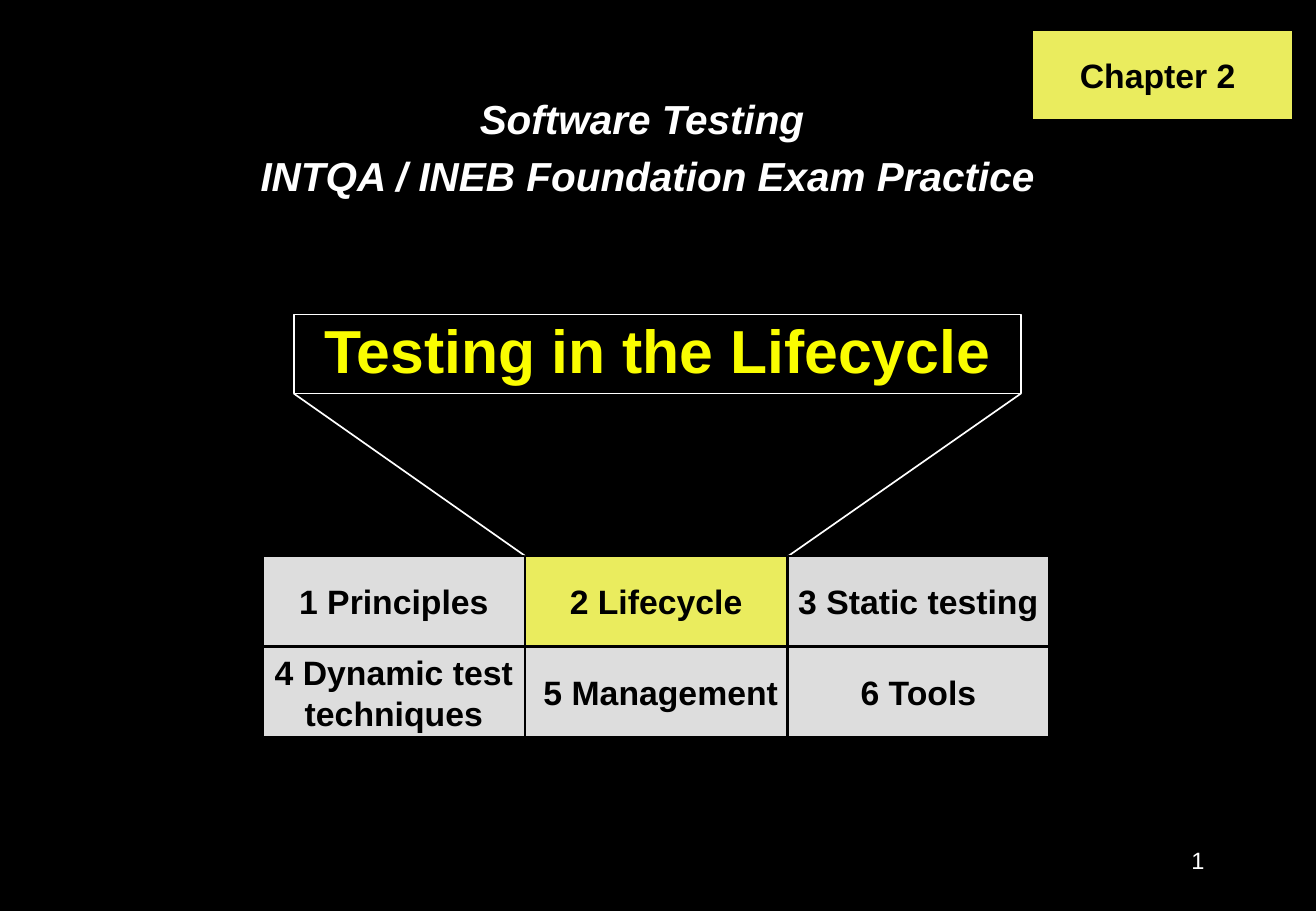
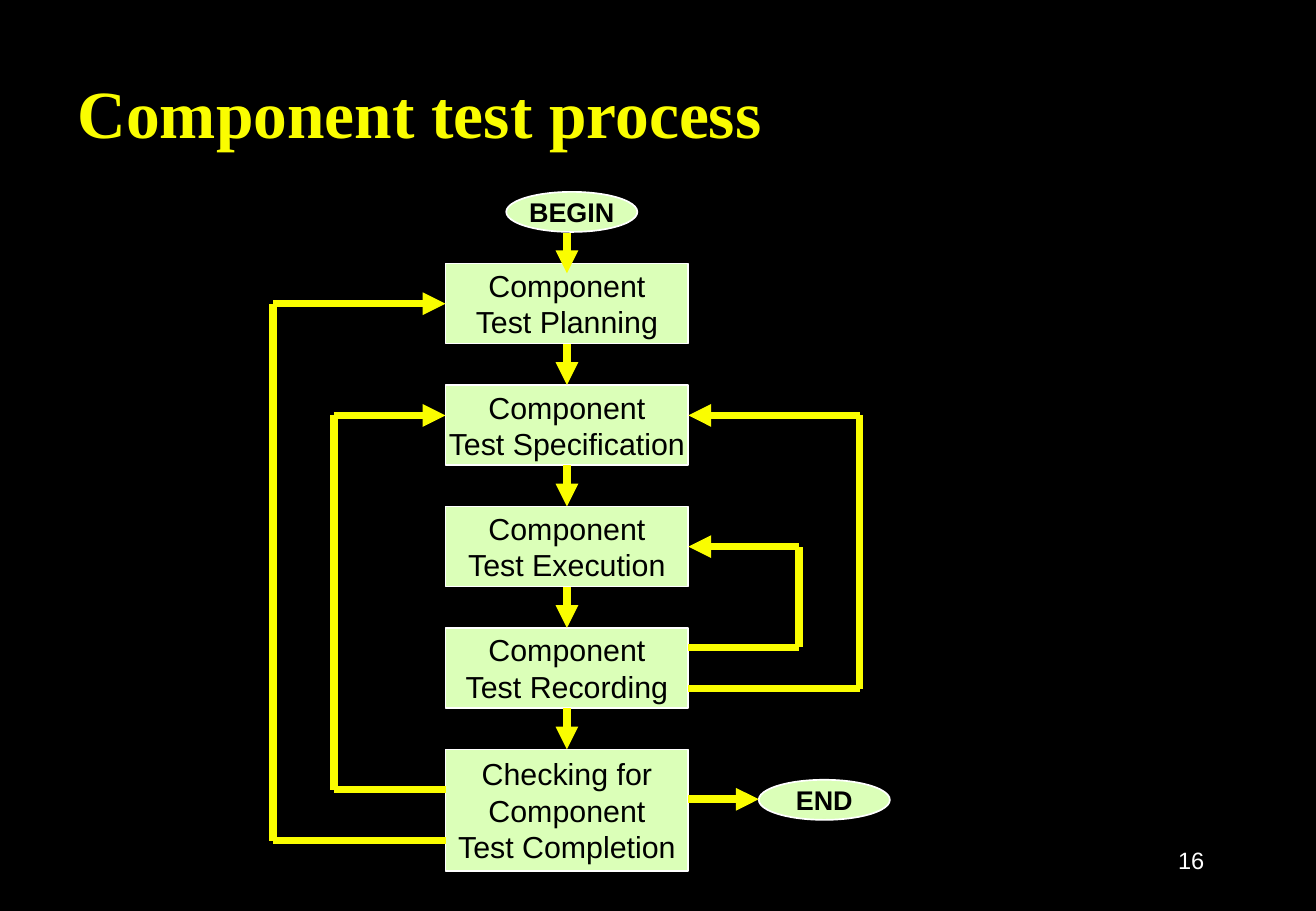
from itertools import pairwise

from lxml.etree import SubElement
from pptx import Presentation
from pptx.dml.color import RGBColor
from pptx.enum.shapes import MSO_CONNECTOR, MSO_SHAPE
from pptx.enum.text import MSO_ANCHOR, MSO_AUTO_SIZE, PP_ALIGN
from pptx.oxml.ns import qn
from pptx.util import Inches, Pt

COLORS = {
    "background": "000000",
    "white": "FFFFFF",
    "yellow": "FAFD00",
    "current": "EAEC5E",
    "topic": "DDDDDD",
    "static_topic": "DADADA",
    "step": "DBFFB8",
    "black": "000000",
}
SANS, SERIF = "Arial", "Times New Roman"
TOP, LEFT, BOTTOM, RIGHT = range(4)

TOPICS = [
    [("1 Principles", "topic"), ("2 Lifecycle", "current"), ("3 Static testing", "static_topic")],
    [("4 Dynamic test\ntechniques", "topic"), (" 5 Management", "topic"), ("6 Tools", "topic")],
]
TOPIC_LEFT, TOPIC_TOP = 2.17, 4.58
TOPIC_WIDTH, TOPIC_HEIGHT = 2.15, 0.74
TOPIC_PITCH_X, TOPIC_PITCH_Y = 2.16, 0.75

STEPS = ["Planning", "Specification", "Execution", "Recording"]
STEP_LEFT, STEP_TOP = 3.67, 2.17
STEP_WIDTH, STEP_HEIGHT, STEP_PITCH = 2, 0.66, 1
STEP_RIGHT = STEP_LEFT + STEP_WIDTH
STEP_CENTER = STEP_LEFT + STEP_WIDTH / 2


def rgb(color):
    """Return the RGB value of a named colour."""
    return RGBColor.from_string(COLORS[color])


def write(frame, text, size, color, font=SANS, bold=False, italic=False,
          align=PP_ALIGN.CENTER, spacing=None, anchor=MSO_ANCHOR.MIDDLE, wrap=False):
    """Fill a text frame with one formatted paragraph per line of text."""
    frame.auto_size = MSO_AUTO_SIZE.NONE
    frame.word_wrap = wrap
    frame.vertical_anchor = anchor
    for index, line in enumerate(text.split("\n")):
        paragraph = frame.add_paragraph() if index else frame.paragraphs[0]
        paragraph.alignment = align
        if spacing:
            paragraph.line_spacing = spacing
        run = paragraph.add_run()
        run.text = line
        run.font.name = font
        run.font.size = Pt(size)
        run.font.bold = bold
        run.font.italic = italic
        run.font.color.rgb = rgb(color)


def place(shape, left, top, width, height):
    """Set the position and size of a shape in inches."""
    shape.left, shape.top = Inches(left), Inches(top)
    shape.width, shape.height = Inches(width), Inches(height)


def outline(shape, color):
    """Give a shape a thin line."""
    shape.line.color.rgb = rgb(color)
    shape.line.width = Pt(1)


def add_title(slide, text, bounds, size, **style):
    """Write the bold yellow title in its placeholder."""
    title = slide.shapes.title
    place(title, *bounds)
    write(title.text_frame, text, size, "yellow", bold=True, wrap=True, **style)
    return title


def add_page_number(slide, number):
    """Write the page number at the lower right."""
    page = slide.shapes.add_textbox(Inches(7.76), Inches(6.83), Inches(2.26), Inches(0.5))
    write(page.text_frame, number, 14, "white", align=PP_ALIGN.RIGHT)


def add_box(slide, text, bounds, fill, line, size, bold=False, preset=MSO_SHAPE.RECTANGLE):
    """Add a filled shape with centred black text."""
    box = slide.shapes.add_shape(preset, *map(Inches, bounds))
    box.shadow.inherit = False
    box.fill.solid()
    box.fill.fore_color.rgb = rgb(fill)
    outline(box, line)
    write(box.text_frame, text, size, "black", bold=bold)
    return box


def add_topic(slide, text, left, top, fill):
    """Add a chapter box."""
    add_box(slide, text, (left, top, TOPIC_WIDTH, TOPIC_HEIGHT), fill, "background", 20, bold=True)


def add_step(slide, text, top, height=STEP_HEIGHT):
    """Add a process step in the middle column."""
    return add_box(slide, text, (STEP_LEFT, top, STEP_WIDTH, height), "step", "white", 18)


def add_terminal(slide, text, left, top):
    """Add an oval that starts or ends the process."""
    add_box(slide, text, (left, top, 1.08, 0.33), "step", "white", 16, bold=True,
            preset=MSO_SHAPE.OVAL)


def add_line(slide, start, end, color="yellow", width=4.5, arrow=False):
    """Add a straight line, with an arrowhead if asked."""
    line = slide.shapes.add_connector(MSO_CONNECTOR.STRAIGHT, *map(Inches, (*start, *end)))
    line.line.color.rgb = rgb(color)
    line.line.width = Pt(width)
    properties = line._element.spPr
    if arrow:
        SubElement(properties.find(qn("a:ln")), qn("a:tailEnd"), type="triangle")
    SubElement(properties, qn("a:effectLst"))
    return line


def add_route(slide, *points):
    """Draw lines through the points and return the last one, an arrow."""
    *legs, last = pairwise(points)
    for start, end in legs:
        add_line(slide, start, end)
    return add_line(slide, *last, arrow=True)


def build_chapter(slide):
    """Build the chapter opening slide."""
    left, top, width, height = bounds = (2.42, 2.59, 5.99, 0.65)
    title = add_title(slide, "Testing in the Lifecycle", bounds, 36, spacing=0.88)
    outline(title, "white")

    current_left = TOPIC_LEFT + TOPIC_PITCH_X
    for title_x, topic_x in ((left, current_left), (left + width, current_left + TOPIC_PITCH_X)):
        add_line(slide, (title_x, top + height), (topic_x, TOPIC_TOP), "white", 1)

    for row, topics in enumerate(TOPICS):
        for column, (text, fill) in enumerate(topics):
            add_topic(slide, text, TOPIC_LEFT + column * TOPIC_PITCH_X,
                      TOPIC_TOP + row * TOPIC_PITCH_Y, fill)

    course = slide.shapes.add_textbox(Inches(1), Inches(0.67), Inches(8.67), Inches(1))
    frame = course.text_frame
    frame.margin_left = frame.margin_right = Inches(0.07)
    frame.margin_top = frame.margin_bottom = Inches(0.03)
    write(frame, "Software Testing \nINTQA / INEB Foundation Exam Practice", 24, "white",
          bold=True, italic=True, spacing=1.18, anchor=MSO_ANCHOR.TOP, wrap=True)
    add_topic(slide, "Chapter 2 ", 8.5, 0.25, "current")
    add_page_number(slide, "1")


def build_process(slide):
    """Build the component test flowchart."""
    add_title(slide, "Component test process", (0.54, 0.58, 9.21, 0.67), 40,
              font=SERIF, align=PP_ALIGN.LEFT)
    steps = [add_step(slide, f"Component\nTest {name}", STEP_TOP + index * STEP_PITCH)
             for index, name in enumerate(STEPS)]
    steps.append(add_step(slide, "Checking for\nComponent\nTest Completion",
                          STEP_TOP + len(STEPS) * STEP_PITCH, 1))

    routes = [
        (STEP_LEFT, 6.92, 2.25, 2.5),
        (STEP_LEFT, 6.5, 2.75, 3.42),
        (STEP_RIGHT, 5.33, 6.58, 4.5),
        (STEP_RIGHT, 5.67, 7.08, 3.42),
    ]
    to_planning, _, to_execution, _ = [
        add_route(slide, (edge, start_y), (lane, start_y), (lane, end_y), (edge, end_y))
        for edge, start_y, lane, end_y in routes
    ]
    to_planning.end_connect(steps[0], LEFT)
    to_execution.end_connect(steps[2], RIGHT)

    for index, (step, following) in enumerate(pairwise(steps)):
        top = STEP_TOP + index * STEP_PITCH
        arrow = add_route(slide, (STEP_CENTER, top + STEP_HEIGHT), (STEP_CENTER, top + STEP_PITCH))
        arrow.begin_connect(step, BOTTOM)
        arrow.end_connect(following, TOP)

    add_terminal(slide, "BEGIN", 4.17, 1.58)
    add_route(slide, (STEP_CENTER, 1.92), (STEP_CENTER, 2.25))
    add_terminal(slide, "END", 6.25, 6.42)
    add_route(slide, (STEP_RIGHT, 6.58), (6.25, 6.58))
    add_page_number(slide, "16")


def main():
    """Build and save the presentation."""
    deck = Presentation()
    deck.slide_width, deck.slide_height = Inches(10.84), Inches(7.5)
    backdrop = deck.slide_master.background.fill
    backdrop.solid()
    backdrop.fore_color.rgb = rgb("background")
    title_only = deck.slide_layouts[5]
    for build in (build_chapter, build_process):
        build(deck.slides.add_slide(title_only))
    deck.save("out.pptx")


if __name__ == "__main__":
    main()
